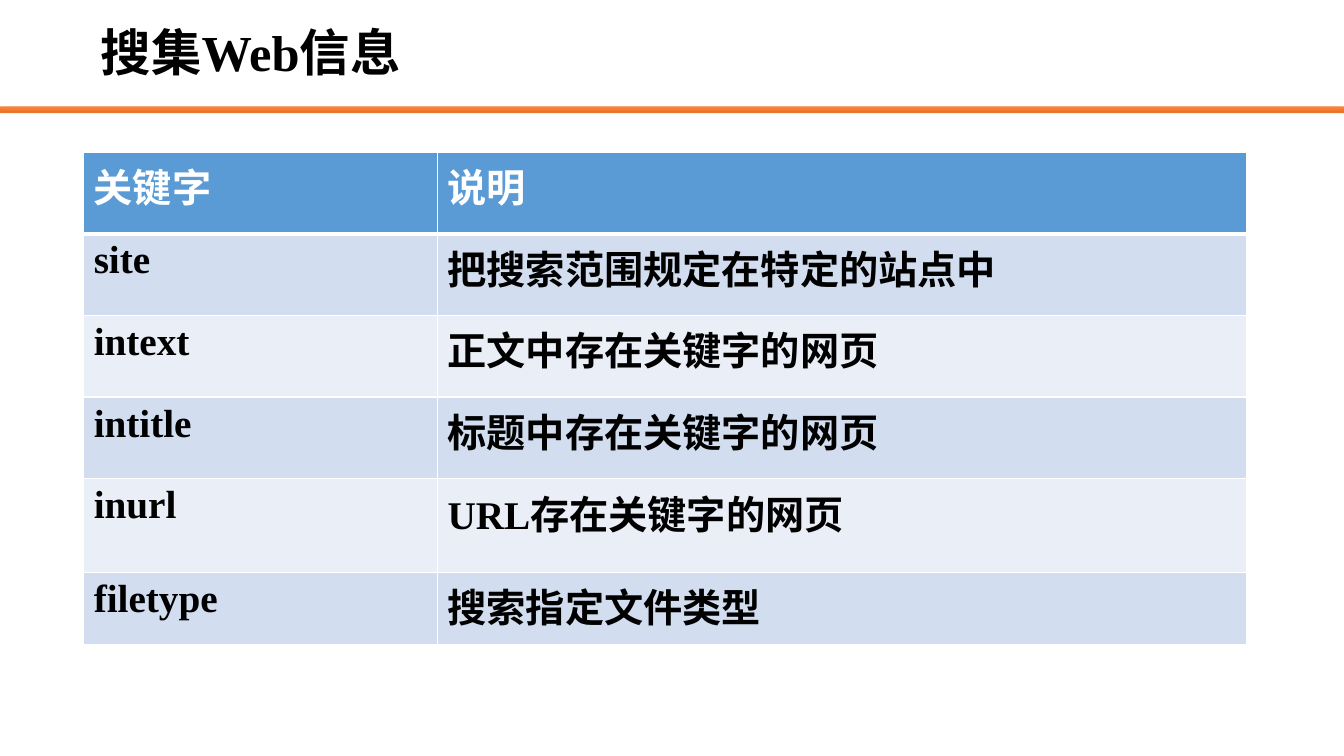
from copy import deepcopy
from lxml import etree
from pptx import Presentation
from pptx.dml.color import RGBColor
from pptx.enum.shapes import MSO_SHAPE
from pptx.enum.text import MSO_ANCHOR, PP_ALIGN
from pptx.oxml.ns import qn
from pptx.util import Inches, Pt

ROUND = MSO_SHAPE.ROUNDED_RECTANGLE
MIDDLE = MSO_ANCHOR.MIDDLE
LEFT = PP_ALIGN.LEFT

THEME = {
    "font": "Times New Roman",
    "title": 36,
    "body": 28,
    "black": "000000",
    "white": "FFFFFF",
    "head": "5B9BD5",
    "bands": ["D2DEEF", "EAEFF7"],
    "edge": "ED7D31",
    "bar": ["F18C57", "F67B28", "E56C19"],
}


def style(para, size, color):
    for run in para.runs:
        font = run.font
        font.name = THEME["font"]
        font.size = Pt(size)
        font.bold = True
        font.color.rgb = RGBColor.from_string(color)


def border(cell, side, width):
    props = cell._tc.get_or_add_tcPr()
    line = etree.SubElement(props, qn("a:" + side), w=str(Pt(width)))
    fill = etree.SubElement(line, qn("a:solidFill"))
    etree.SubElement(fill, qn("a:srgbClr"), val=THEME["white"])


deck = Presentation()
deck.slide_width = Inches(13.33)
deck.slide_height = Inches(7.5)
slide = deck.slides.add_slide(deck.slide_layouts[5])

title = slide.shapes.title
title.left, title.top = Inches(0.9), Inches(0.06)
title.width, title.height = Inches(11.5), Inches(0.98)
frame = title.text_frame
frame.text = "搜集Web信息"
frame.word_wrap = True
frame.vertical_anchor = MIDDLE
para = frame.paragraphs[0]
para.alignment = LEFT
para.line_spacing = 0.9
style(para, THEME["title"], THEME["black"])

bar = slide.shapes.add_shape(ROUND, 0, Inches(1.06), Inches(13.33), Inches(0.06))
bar.shadow.inherit = False
bar.line.color.rgb = RGBColor.from_string(THEME["edge"])
bar.line.width = Pt(0.5)
bar.fill.gradient()
bar.fill.gradient_angle = 270
stops = bar._element.spPr.find(qn("a:gradFill")).find(qn("a:gsLst"))
stops.insert(1, deepcopy(stops[0]))
for num, stop in enumerate(bar.fill.gradient_stops):
    stop.position = num / 2
    stop.color.rgb = RGBColor.from_string(THEME["bar"][num])

rows = [
    ("关键字", "说明"),
    ("site", "把搜索范围规定在特定的站点中"),
    ("intext", "正文中存在关键字的网页"),
    ("intitle", "标题中存在关键字的网页"),
    ("inurl", "URL存在关键字的网页"),
    ("filetype", "搜索指定文件类型"),
]
highs = [0.81] * 4 + [0.93, 0.72]
wides = [3.51, 8.02]
table = slide.shapes.add_table(
    len(rows), len(wides), Inches(0.83), Inches(1.51),
    Inches(sum(wides)), Inches(sum(highs))).table
for col, wide in zip(table.columns, wides):
    col.width = Inches(wide)

for num, (words, high) in enumerate(zip(rows, highs)):
    table.rows[num].height = Inches(high)
    head = num == 0
    back = THEME["head"] if head else THEME["bands"][(num - 1) % 2]
    ink = THEME["white"] if head else THEME["black"]
    for pos, word in enumerate(words):
        cell = table.cell(num, pos)
        cell.text = word
        style(cell.text_frame.paragraphs[0], THEME["body"], ink)
        for side in ("lnL", "lnR"):
            border(cell, side, 1)
        border(cell, "lnT", 3 if num == 1 else 1)
        border(cell, "lnB", 3 if head else 1)
        cell.fill.solid()
        cell.fill.fore_color.rgb = RGBColor.from_string(back)

deck.save("out.pptx")
